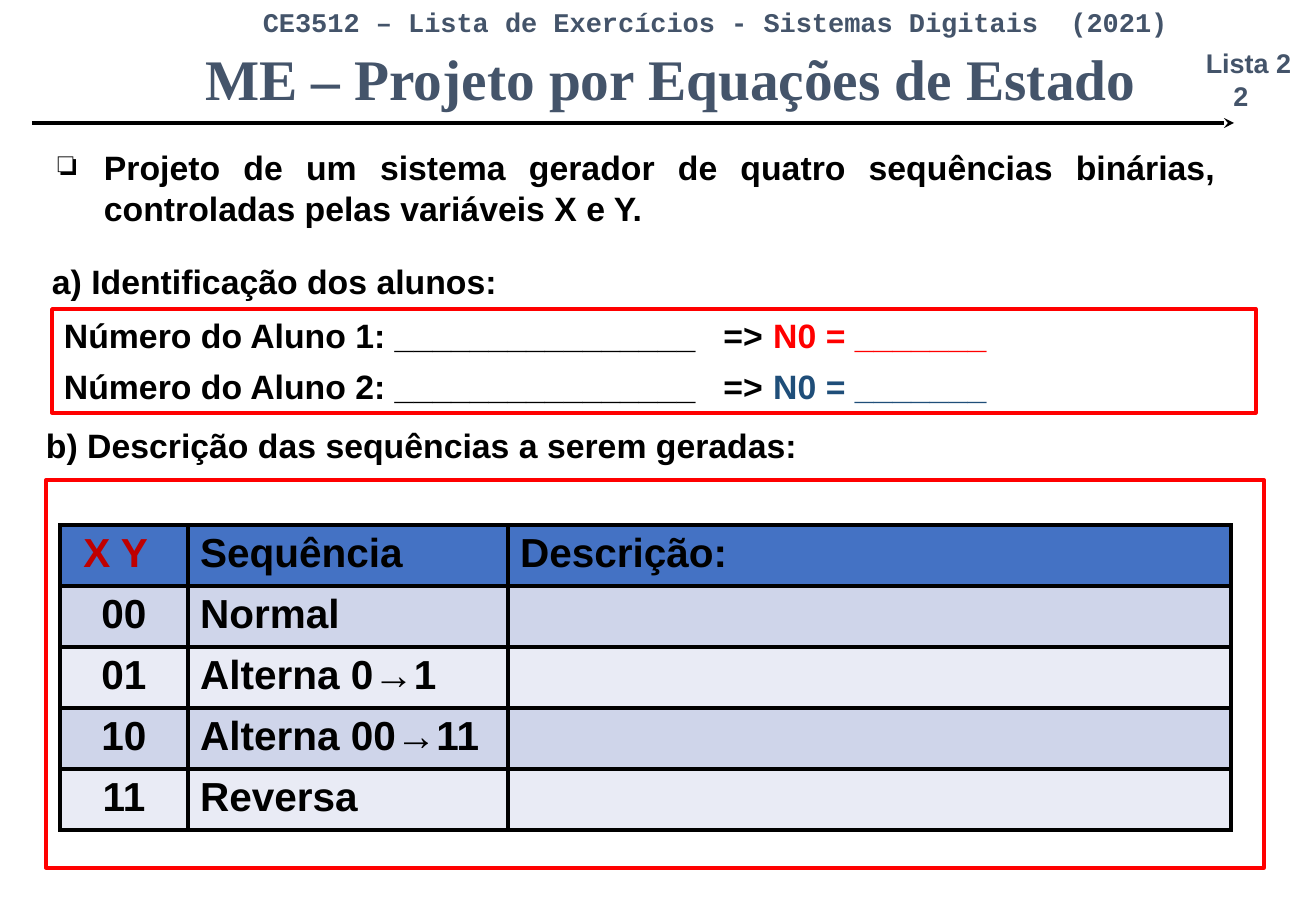
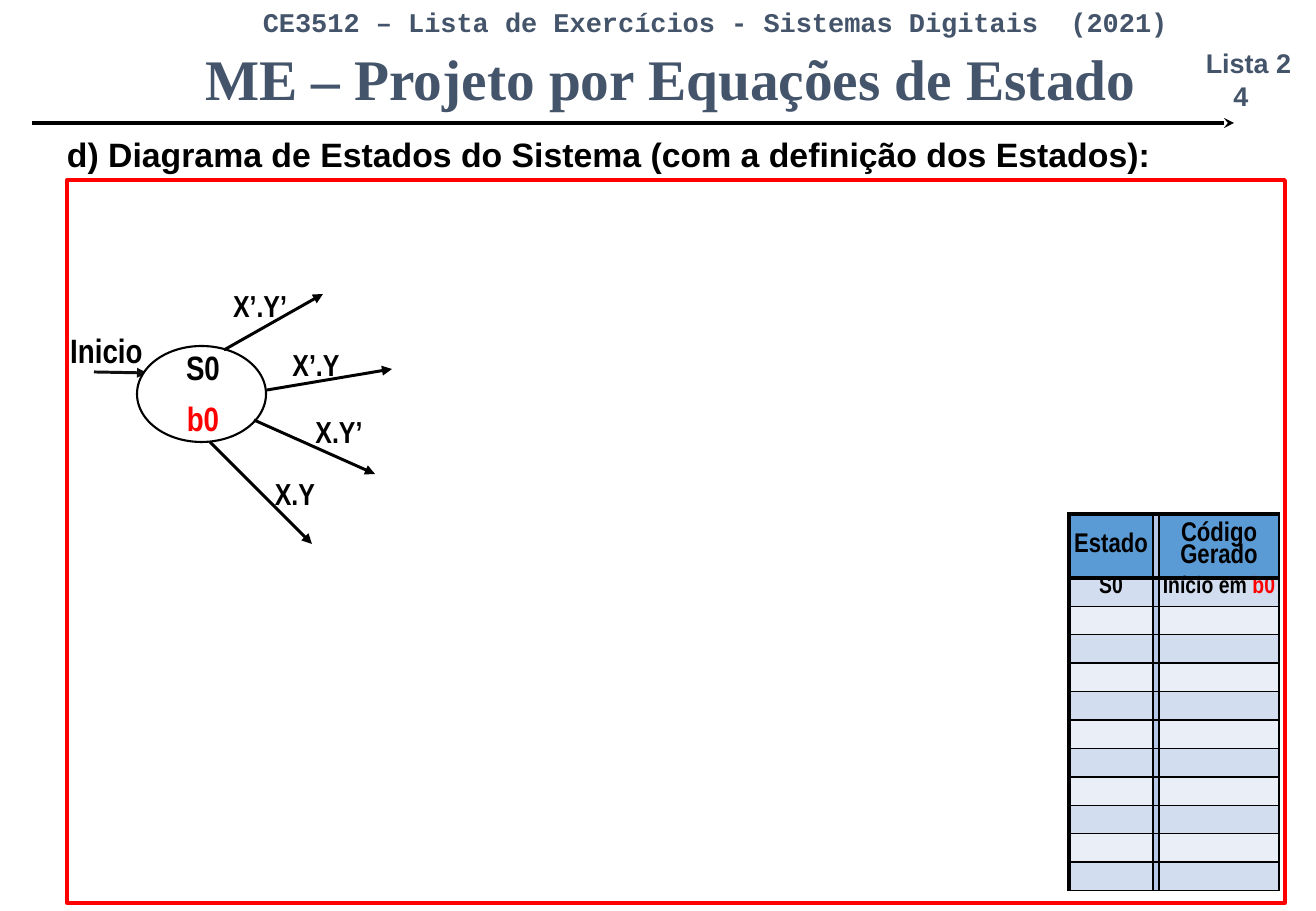
from lxml import etree
from pptx import Presentation
from pptx.dml.color import RGBColor
from pptx.enum.shapes import MSO_CONNECTOR, MSO_SHAPE
from pptx.enum.text import MSO_ANCHOR, PP_ALIGN
from pptx.oxml.ns import qn
from pptx.util import Pt

LEFT, CENTER, JUSTIFY = PP_ALIGN.LEFT, PP_ALIGN.CENTER, PP_ALIGN.JUSTIFY
TOP, MIDDLE = MSO_ANCHOR.TOP, MSO_ANCHOR.MIDDLE
STRAIGHT = MSO_CONNECTOR.STRAIGHT
RECTANGLE, OVAL = MSO_SHAPE.RECTANGLE, MSO_SHAPE.OVAL

COLORS = {
    "black": "000000", "white": "FFFFFF", "slate": "44546A", "red": "FF0000",
    "navy": "1F4E79", "crimson": "C00000", "ink": "101010",
    "head1": "4472C4", "odd1": "CFD5EA", "even1": "E9EBF5",
    "head2": "5B9BD5", "odd2": "D2DEEF", "even2": "EAEFF7", "divider": "B4C7E7",
}
SCALE = 914400 / 121.5
WIDTH, HEIGHT = 1316, 911

# Content: a paragraph is a string or a list of (text, colour) spans
COURSE = "CE3512 – Lista de Exercícios - Sistemas Digitais  (2021)  "
TITLE = "ME – Projeto por Equações de Estado"
LIST_NAME = "Lista 2"
GOAL = ("Projeto de um sistema gerador de quatro sequências binárias, "
        "controladas pelas variáveis X e Y.")
STUDENTS = [
    [(f"Número do Aluno {number}: ________________   => ", "black"),
     ("N0 = _______", color)]
    for number, color in ((1, "red"), (2, "navy"))
]
SECTION_A = "a) Identificação dos alunos:"
SECTION_B = "b) Descrição das sequências a serem geradas:"
SECTION_D = "d) Diagrama de Estados do Sistema (com a definição dos Estados):"
SEQUENCES = [
    ([(" X Y", "crimson")], "Sequência", "Descrição:"),
    ("00", "Normal", ""),
    ("01", "Alterna 0→1", ""),
    ("10", "Alterna 00→11", ""),
    ("11", "Reversa", ""),
]
STATES = [
    ("Estado", "", "Código Gerado"),
    ("S0", "", [("Início em ", "black"), ("b0", "red")]),
] + [("", "", "")] * 10
# Label, label corner, arrow start, arrow end
TRANSITIONS = [
    ("X’.Y’", (193, 281), (224, 350), (323, 294)),
    ("X’.Y", (249, 340), (267, 390), (392, 369)),
    ("X.Y’", (272, 407), (254, 420), (375, 474)),
    ("X.Y", (228, 469), (210, 442), (312, 544)),
]


def px(value):
    return round(value * SCALE)


def rgb(name):
    return RGBColor.from_string(COLORS[name])


def write(frame, *paragraphs, size=20, font="Arial", color="black", align=LEFT,
          anchor=TOP, wrap=True, before=0, after=0, spacing=None):
    frame.word_wrap = wrap
    frame.vertical_anchor = anchor
    for index, content in enumerate(paragraphs):
        para = frame.add_paragraph() if index else frame.paragraphs[0]
        para.alignment = align
        if index:
            para.space_before = Pt(before)
        if index < len(paragraphs) - 1:
            para.space_after = Pt(after)
        if spacing:
            para.line_spacing = spacing
        spans = [(content, color)] if isinstance(content, str) else content
        for text, span_color in spans:
            span = para.add_run()
            span.text = text
            span.font.size, span.font.name, span.font.bold = Pt(size), font, True
            span.font.color.rgb = rgb(span_color)


def add_text(page, area, *paragraphs, **style):
    box = page.shapes.add_textbox(*map(px, area))
    write(box.text_frame, *paragraphs, **style)
    return box


def add_outline(page, area, kind=RECTANGLE, color="red", weight=2, fill=None):
    shape = page.shapes.add_shape(kind, *map(px, area))
    shape.shadow.inherit = False
    if fill:
        shape.fill.solid()
        shape.fill.fore_color.rgb = rgb(fill)
    else:
        shape.fill.background()
    shape.line.color.rgb = rgb(color)
    shape.line.width = Pt(weight)
    return shape


def add_arrow(page, start, end, color="black", weight=1.75, head="triangle"):
    arrow = page.shapes.add_connector(STRAIGHT, *map(px, start + end))
    arrow.line.color.rgb = rgb(color)
    arrow.line.width = Pt(weight)
    etree.SubElement(arrow.line._get_or_add_ln(), qn("a:tailEnd"), type=head)
    etree.SubElement(arrow._element.spPr, qn("a:effectLst"))


def set_borders(cell, **weights):
    properties = cell._tc.get_or_add_tcPr()
    for side in "LRTB":
        line = etree.SubElement(properties, qn(f"a:ln{side}"),
                                w=str(Pt(weights[side])))
        fill = etree.SubElement(line, qn("a:solidFill"))
        etree.SubElement(fill, qn("a:srgbClr"), val=COLORS["black"])


def add_table(page, corner, columns, heights, rows, design):
    """design(row, column) gives fill, border weights, cell margin, text style."""
    size = (sum(columns), sum(heights))
    table = page.shapes.add_table(len(rows), len(columns),
                                  *map(px, corner + size)).table
    table.first_row = table.horz_banding = False
    for column, width in zip(table.columns, columns):
        column.width = px(width)
    for row, height in zip(table.rows, heights):
        row.height = px(height)
    for r, contents in enumerate(rows):
        for c, content in enumerate(contents):
            cell = table.cell(r, c)
            fill, weights, margin, style = design(r, c)
            set_borders(cell, **weights)
            cell.fill.solid()
            cell.fill.fore_color.rgb = rgb(fill)
            if margin is not None:
                cell.margin_left = cell.margin_right = px(margin)
                cell.margin_top = cell.margin_bottom = px(margin)
            if content:
                anchor = style.get("anchor", TOP)
                write(cell.text_frame, content, **style)
                cell.vertical_anchor = anchor
            else:
                para = cell.text_frame.paragraphs[0]._p
                etree.SubElement(para, qn("a:endParaRPr"), sz="800")


def sequence_design(row, column):
    fill = "head1" if row == 0 else ("even1", "odd1")[row % 2]
    align = CENTER if row and column == 0 else LEFT
    return fill, dict.fromkeys("LRTB", 2.25), None, {"size": 24, "align": align}


def state_design(row, column):
    header = row == 0
    fill = "head2" if header else ("even2", "odd2")[row % 2]
    weights = {"L": 1 if column else 2.25, "R": 1,
               "T": 2.25 if row < 2 else 1, "B": 2.25 if header else 1}
    style = {"size": 16 if header else 14, "font": "Arial Narrow",
             "align": CENTER, "anchor": MIDDLE if header else TOP,
             "spacing": 0.85}
    return "divider" if column == 1 else fill, weights, 0, style


def add_page(deck, number):
    page = deck.slides.add_slide(deck.slide_layouts[5])
    add_arrow(page, (32, 123), (1234, 123), weight=2, head="stealth")
    add_text(page, (157, 0, 1149, 45), COURSE, size=16, font="Courier New",
             color="slate", align=CENTER)
    add_text(page, (1193, 40, 111, 78), LIST_NAME, f"{number}  ", size=16,
             color="slate", align=CENTER, anchor=MIDDLE, wrap=False)
    title = page.shapes.title
    title.left, title.top, title.width, title.height = map(px, (146, 45, 1049, 74))
    write(title.text_frame, TITLE, size=34, font="Times New Roman",
          color="slate", align=CENTER, anchor=MIDDLE, spacing=0.88)
    # Hard text shadow, placed right after the text fill
    span = title.text_frame.paragraphs[0].runs[0]
    effects = etree.Element(qn("a:effectLst"))
    shadow = etree.SubElement(effects, qn("a:outerShdw"), dist=str(px(4)),
                              dir="2700000", algn="tl")
    etree.SubElement(shadow, qn("a:srgbClr"), val=COLORS["black"])
    span._r.rPr.find(qn("a:solidFill")).addnext(effects)
    return page


deck = Presentation()
deck.slide_width, deck.slide_height = px(WIDTH), px(HEIGHT)

# Slide: students and sequences
page = add_page(deck, 2)
goal = add_text(page, (46, 141, 1182, 94), GOAL, align=JUSTIFY)
bullet = goal.text_frame.paragraphs[0]._p.get_or_add_pPr()
bullet.set("marL", str(px(46)))
bullet.set("indent", str(px(-46)))
etree.SubElement(bullet, qn("a:buChar"), char="❏")
students = add_outline(page, (52, 309, 1204, 104))
write(students.text_frame, *STUDENTS, before=6)
add_text(page, (40, 255, 1222, 53), SECTION_A, align=JUSTIFY)
add_outline(page, (46, 480, 1218, 388))
add_text(page, (34, 419, 1222, 53), SECTION_B, align=JUSTIFY)
add_table(page, (60, 525), (128, 320, 723), [61] * 5, SEQUENCES, sequence_design)

# Slide: state diagram
page = add_page(deck, 4)
add_text(page, (55, 128, 1243, 53), SECTION_D, align=JUSTIFY)
add_outline(page, (67, 180, 1218, 723))
add_arrow(page, (94, 372), (147, 373), color="ink")
add_outline(page, (137, 346, 129, 96), OVAL, "black", 1.25, "white")
narrow = {"font": "Arial Narrow", "align": CENTER}
add_text(page, (130, 341, 146, 104), "S0", [("b0", "red")], after=6, **narrow)
add_text(page, (51, 324, 111, 53), "Inicio", **narrow)
for label, corner, start, end in TRANSITIONS:
    add_text(page, corner + (134, 49), label, size=18, **narrow)
    add_arrow(page, start, end)
state_heights = [64] + [313 / 11] * 11
add_table(page, (1069, 514), (84, 6, 120), state_heights, STATES, state_design)

deck.save("out.pptx")
